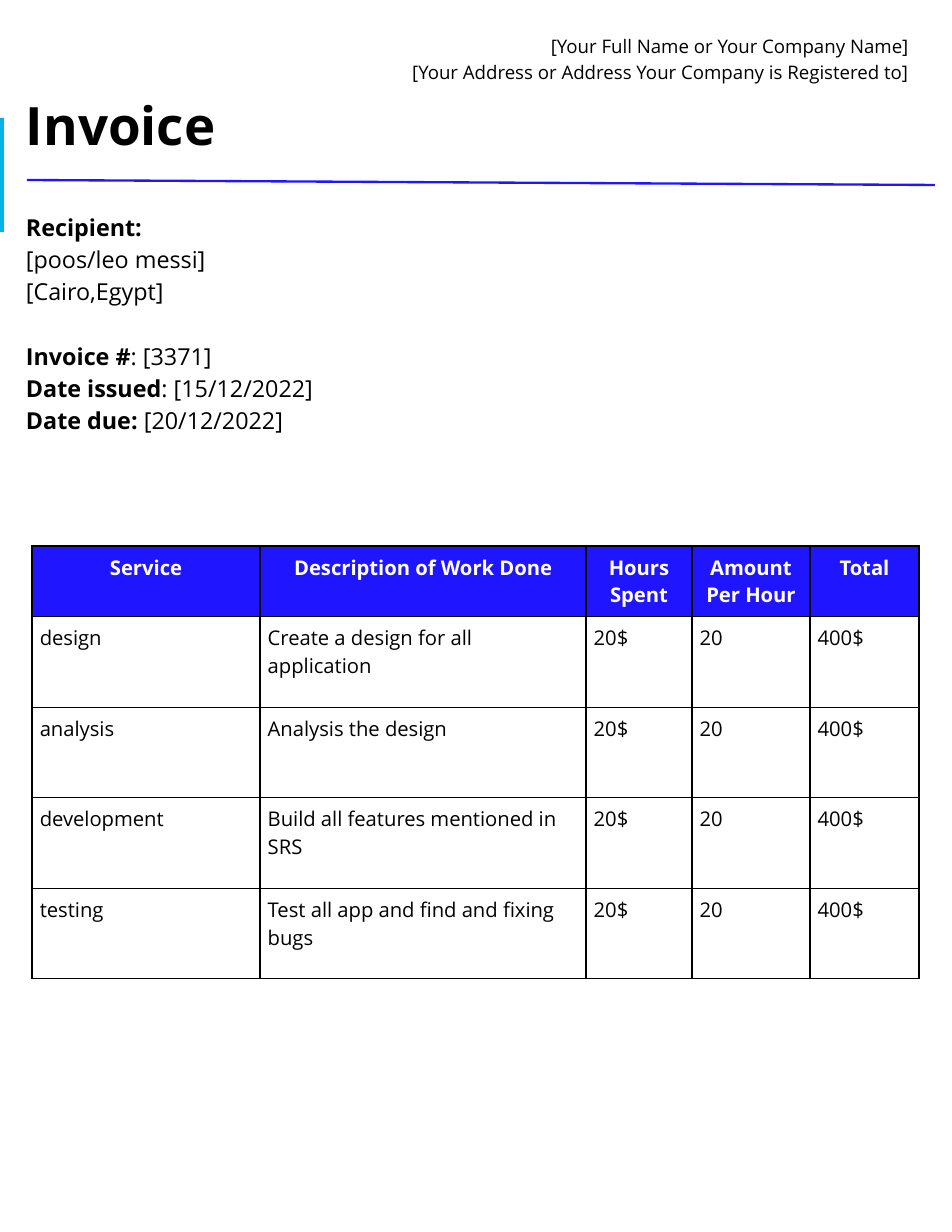
import pptx
import pptx.dml.color
import pptx.enum.shapes
import pptx.enum.text
import pptx.oxml
import pptx.oxml.ns
import pptx.util

ALIGN = pptx.enum.text.PP_ALIGN
COLORS = {"ink": "000000", "white": "FFFFFF", "blue": "2015FF", "cyan": "02B4E5"}
FONT = "Open Sans"

TITLE = [
    ("[Your Full Name or Your Company Name]", 12, False, ALIGN.RIGHT),
    ("[Your Address or Address Your Company is Registered to]", 12, False, ALIGN.RIGHT),
    ("Invoice", 34, True, ALIGN.JUSTIFY),
]
DETAILS = [
    ("Recipient:", ""),
    ("", "[poos/leo messi]"),
    ("", "[Cairo,Egypt]"),
    ("Invoice #", ": [3371]"),
    ("Date issued", ": [15/12/2022]"),
    ("Date due:", " [20/12/2022]"),
]
GAP_BEFORE = "Invoice #"
RATE = ("20$", "20", "400$")
ROWS = [
    ("Service", "Description of Work Done", "Hours Spent", "Amount Per Hour", "Total"),
    ("design", "Create a design for all application", *RATE),
    ("analysis", "Analysis the design", *RATE),
    ("development", "Build all features mentioned in SRS", *RATE),
    ("testing", "Test all app and find and fixing bugs", *RATE),
]
COLUMN_WIDTHS = [228, 326, 106, 118, 109]
ROW_HEIGHTS = [67, 91, 90, 91, 90]


def px(value):
    return pptx.util.Emu(round(value * 914400 / 112))


def color(name):
    return pptx.dml.color.RGBColor.from_string(COLORS[name])


def format_run(run, size, bold, ink="ink"):
    run.font.name = FONT
    run.font.size = pptx.util.Pt(size)
    run.font.bold = bold
    run.font.color.rgb = color(ink)


def place(shape, left, top, width, height):
    shape.left, shape.top, shape.width, shape.height = map(px, (left, top, width, height))


def prepare_frame(frame, anchor):
    frame.word_wrap = True
    frame.auto_size = pptx.enum.text.MSO_AUTO_SIZE.NONE
    frame.vertical_anchor = anchor
    frame.margin_left = frame.margin_right = px(11)
    frame.margin_top = frame.margin_bottom = px(11)


def next_paragraph(frame, index):
    paragraph = frame.add_paragraph() if index else frame.paragraphs[0]
    paragraph.line_spacing = 1.15
    paragraph.space_before = pptx.util.Pt(0)
    return paragraph


def add_borders(cell):
    properties = cell._tc.get_or_add_tcPr()
    for side in ("lnL", "lnR", "lnT", "lnB"):
        properties.append(pptx.oxml.parse_xml(
            f'<a:{side} {pptx.oxml.ns.nsdecls("a")} w="12700"><a:solidFill>'
            f'<a:srgbClr val="{COLORS["ink"]}"/></a:solidFill></a:{side}>'))


def add_title(slide):
    title = slide.shapes.title
    place(title, 15, 25, 905, 137)
    prepare_frame(title.text_frame, pptx.enum.text.MSO_ANCHOR.MIDDLE)
    for index, (text, size, bold, alignment) in enumerate(TITLE):
        paragraph = next_paragraph(title.text_frame, index)
        paragraph.text = text
        paragraph.alignment = alignment
        format_run(paragraph.runs[0], size, bold)


def add_decoration(slide):
    bar = slide.shapes.add_shape(
        pptx.enum.shapes.MSO_SHAPE.RECTANGLE, px(0), px(118), px(4), px(114))
    bar.shadow.inherit = False
    bar.fill.solid()
    bar.fill.fore_color.rgb = color("cyan")
    bar.line.fill.background()

    rule = slide.shapes.add_connector(
        pptx.enum.shapes.MSO_CONNECTOR.STRAIGHT, px(27), px(180), px(935), px(185))
    rule.line.color.rgb = color("blue")
    rule.line.width = pptx.util.Pt(1.5)
    rule._element.spPr.append(pptx.oxml.parse_xml(
        f'<a:effectLst {pptx.oxml.ns.nsdecls("a")}/>'))


def add_details(slide):
    frame = slide.shapes.add_textbox(px(15), px(198), px(920), px(309)).text_frame
    prepare_frame(frame, pptx.enum.text.MSO_ANCHOR.TOP)
    for index, (label, value) in enumerate(DETAILS):
        paragraph = next_paragraph(frame, index)
        if label == GAP_BEFORE:
            paragraph.space_before = px(32)
        for text, bold in ((label, True), (value, False)):
            if text:
                run = paragraph.add_run()
                run.text = text
                format_run(run, 15, bold)


def add_services(slide):
    table = slide.shapes.add_table(
        len(ROWS), len(COLUMN_WIDTHS), px(32), px(546),
        px(sum(COLUMN_WIDTHS)), px(sum(ROW_HEIGHTS))).table
    table.first_row = table.horz_banding = False
    for column, width in zip(table.columns, COLUMN_WIDTHS):
        column.width = px(width)
    for row_index, (row, height, texts) in enumerate(zip(table.rows, ROW_HEIGHTS, ROWS)):
        row.height = px(height)
        header = row_index == 0
        for cell, text in zip(row.cells, texts):
            cell.margin_left = cell.margin_right = pptx.util.Pt(5)
            cell.margin_top = cell.margin_bottom = pptx.util.Pt(5)
            add_borders(cell)
            if header:
                cell.fill.solid()
                cell.fill.fore_color.rgb = color("blue")
            else:
                cell.fill.background()
            cell.text_frame.text = text
            paragraph = cell.text_frame.paragraphs[0]
            paragraph.alignment = ALIGN.CENTER if header else ALIGN.LEFT
            format_run(paragraph.runs[0], 13, header, "white" if header else "ink")


def main():
    presentation = pptx.Presentation()
    presentation.slide_width, presentation.slide_height = px(952), px(1232)
    slide = presentation.slides.add_slide(presentation.slide_layouts[5])
    add_title(slide)
    add_decoration(slide)
    add_details(slide)
    add_services(slide)
    presentation.save("out.pptx")


if __name__ == "__main__":
    main()
